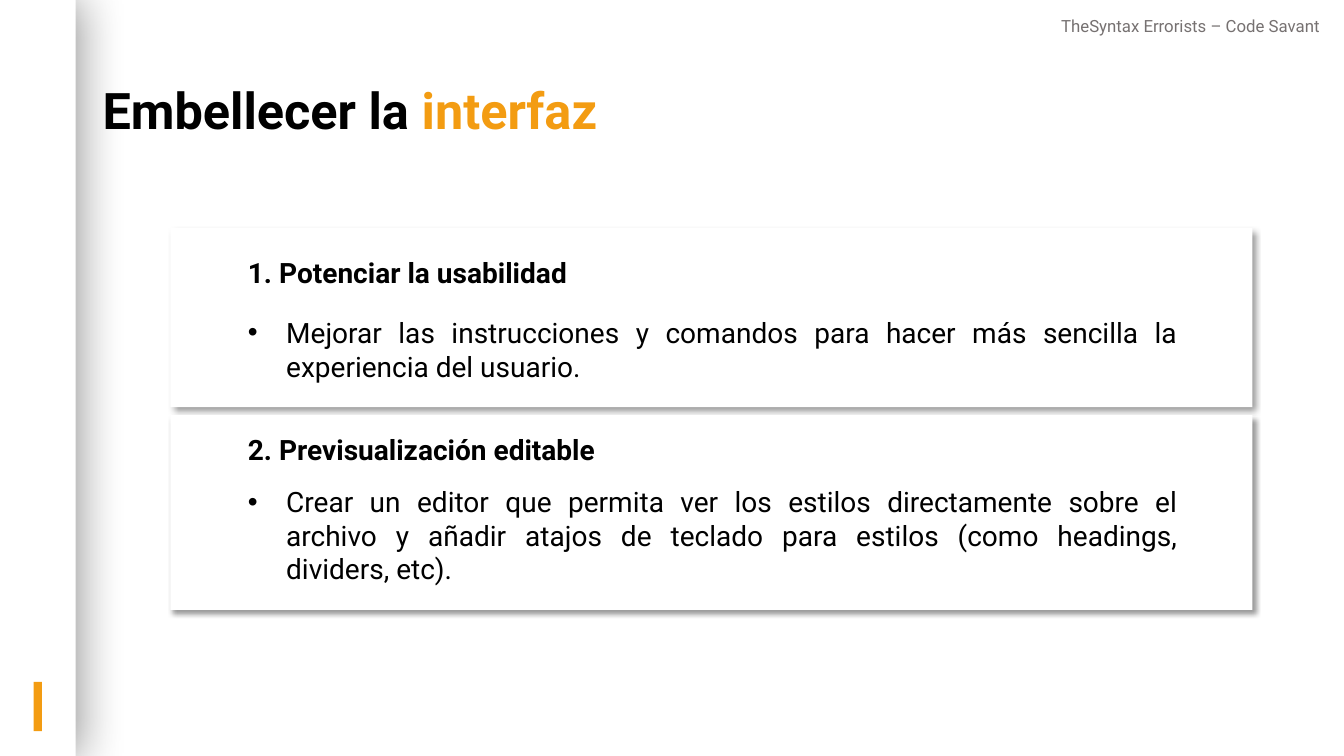
from dataclasses import dataclass

from lxml.etree import SubElement
from pptx import Presentation
from pptx.dml.color import RGBColor
from pptx.enum.shapes import MSO_SHAPE as Shape
from pptx.enum.text import MSO_ANCHOR as Anchor, PP_ALIGN as Align
from pptx.oxml.ns import qn
from pptx.util import Inches, Pt

WIDTH, HEIGHT = Inches(13.33), Inches(7.5)
FONT = "Roboto"
BLACK, WHITE, GRAY, ORANGE = "000000", "FFFFFF", "767171", "F39C12"
CARDS = [
    dict(top=30.13, height=23.73, heading_top=3.07, body_top=10.93,
         heading="1. Potenciar la usabilidad",
         body="Mejorar las instrucciones y comandos para hacer más sencilla "
              "la experiencia del usuario."),
    dict(top=54.93, height=25.73, heading_top=1.6, body_top=8.53,
         heading="2. Previsualización editable",
         body="Crear un editor que permita ver los estilos directamente sobre "
              "el archivo y añadir atajos de teclado para estilos (como "
              "headings, dividers, etc)."),
]


@dataclass
class Box:
    """Position and size in hundredths of the slide."""
    left: float
    top: float
    width: float
    height: float

    def inner(self, left, top, width, height):
        return Box(self.left + left, self.top + top, width, height)

    def lengths(self):
        return (int(WIDTH * self.left / 100), int(HEIGHT * self.top / 100),
                int(WIDTH * self.width / 100), int(HEIGHT * self.height / 100))


def color(value):
    return RGBColor.from_string(value)


def add_shadow(shape, blur, distance, angle):
    effects = shape._element.spPr.find(qn("a:effectLst"))
    shadow = SubElement(effects, qn("a:outerShdw"), blurRad=str(Pt(blur)),
                        dist=str(Pt(distance)), dir=str(angle * 60000),
                        algn="tl", rotWithShape="0")
    tint = SubElement(shadow, qn("a:srgbClr"), val=BLACK)
    SubElement(tint, qn("a:alpha"), val="40000")


def add_panel(page, box, fill, kind=Shape.RECTANGLE):
    panel = page.shapes.add_shape(kind, *box.lengths())
    panel.shadow.inherit = False
    panel.fill.solid()
    panel.fill.fore_color.rgb = color(fill)
    panel.line.fill.background()
    return panel


def add_bullet(para):
    props = para._p.get_or_add_pPr()
    props.set("marL", str(Inches(0.38)))
    props.set("indent", str(-Inches(0.38)))
    SubElement(props, qn("a:buFont"), typeface="Arial")
    SubElement(props, qn("a:buChar"), char="•")


def add_text(page, box, *pieces, size=20, bold=False, tint=BLACK,
             align=Align.LEFT, anchor=Anchor.TOP, bullet=False, spacing=None):
    frame = page.shapes.add_textbox(*box.lengths()).text_frame
    frame.word_wrap = True
    frame.vertical_anchor = anchor
    para = frame.paragraphs[0]
    para.alignment = align
    if spacing:
        para.line_spacing = spacing
    if bullet:
        add_bullet(para)
    for piece in pieces:
        text, piece_tint = piece if isinstance(piece, tuple) else (piece, tint)
        span = para.add_run()
        span.text = text
        span.font.name = FONT
        span.font.size = Pt(size)
        span.font.bold = bold
        span.font.color.rgb = color(piece_tint)


def add_sidebar(page, box):
    add_shadow(add_panel(page, box, WHITE), blur=33, distance=3, angle=0)
    add_panel(page, box.inner(2.51, 90.2, 0.6, 6.53), ORANGE)


def add_header(page, box):
    add_text(page, box.inner(6.9, 5.33, 86.27, 19.33), "Embellecer la",
             (" interfaz", ORANGE), size=36, bold=True, anchor=Anchor.MIDDLE,
             spacing=0.9)
    add_text(page, box.inner(66.17, 1.47, 32.78, 4),
             "TheSyntax Errorists – Code Savant", size=12, tint=GRAY,
             align=Align.RIGHT)


def add_card(page, box, heading, body, heading_top, body_top):
    panel = add_panel(page, box, WHITE, Shape.ROUNDED_RECTANGLE)
    panel.adjustments[0] = 0
    add_shadow(panel, blur=4, distance=3, angle=45)
    add_text(page, box.inner(5.03, heading_top, 70.67, 5.87), heading, bold=True)
    add_text(page, box.inner(5.03, body_top, 70.67, box.height - body_top - 2.4),
             body, align=Align.JUSTIFY, bullet=True)


def main():
    deck = Presentation()
    deck.slide_width, deck.slide_height = WIDTH, HEIGHT
    page = deck.slides.add_slide(deck.slide_layouts[6])
    add_sidebar(page, Box(0, 0, 5.63, 100))
    add_header(page, Box(0, 0, 100, 25))
    for card in CARDS:
        add_card(page, Box(12.68, card["top"], 80.5, card["height"]),
                 card["heading"], card["body"],
                 card["heading_top"], card["body_top"])
    deck.save("out.pptx")


if __name__ == "__main__":
    main()
